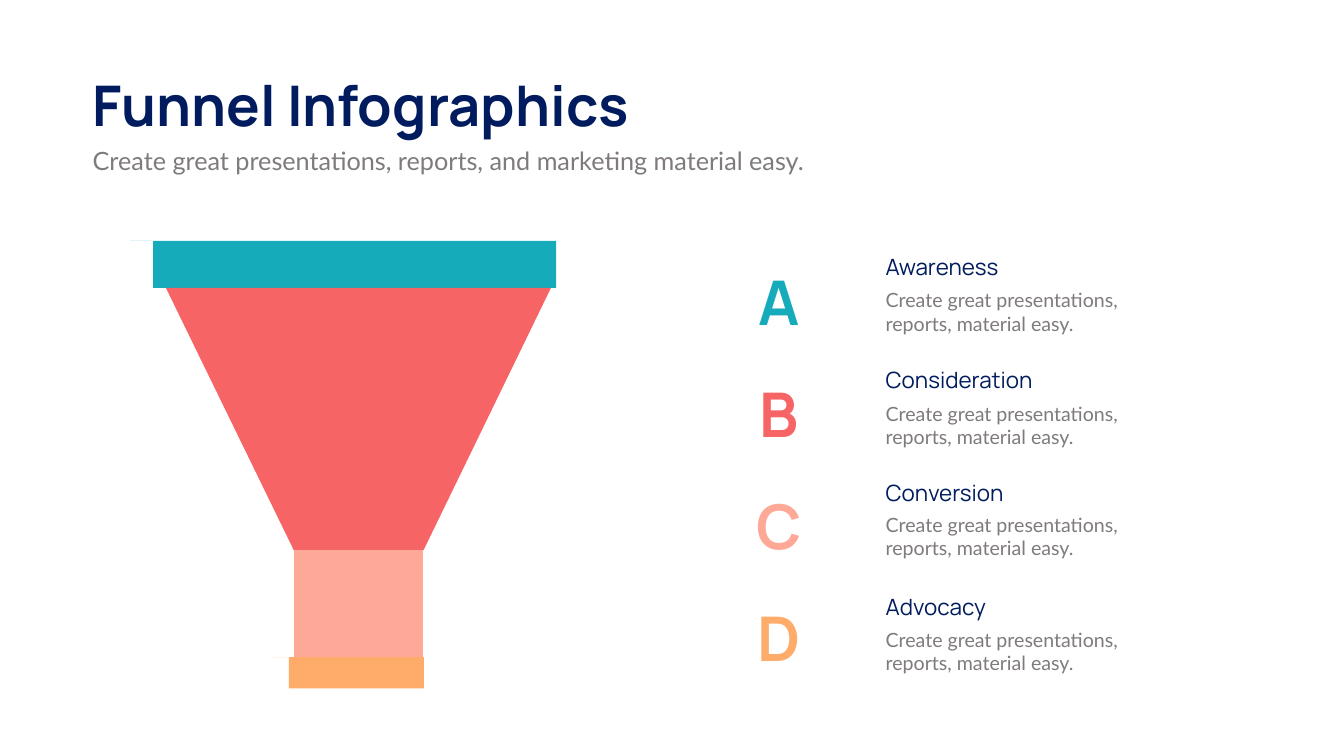
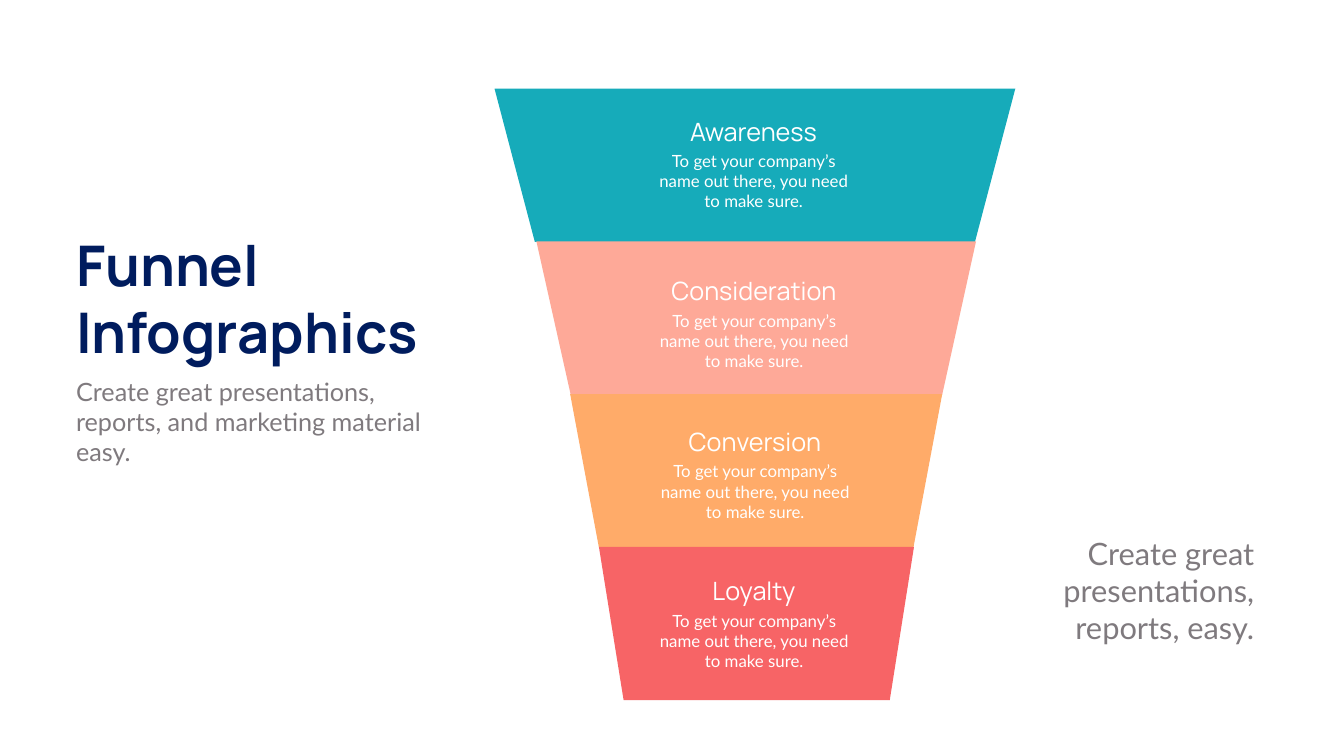
from pptx import Presentation
from pptx.dml.color import RGBColor as Rgb
from pptx.enum.text import MSO_AUTO_SIZE as Fit, PP_ALIGN as Align
from pptx.util import Pt

PX = 9144
HEX = {"navy": "001C5E", "gray": "7F7A7E", "teal": "16ABBA", "red": "F76466",
       "pink": "FEA998", "gold": "FFAB69", "white": "FFFFFF"}
HEAD, BODY = "Manrope", "Lato"


class Deck:
    """Holds the style and the current slide."""

    def __init__(self):
        self.prs = Presentation()
        self.prs.slide_width, self.prs.slide_height = 2666 * PX, 1500 * PX

    def page(self):
        self.slide = self.prs.slides.add_slide(self.prs.slide_layouts[6])
        fill = self.slide.background.fill
        fill.solid()
        fill.fore_color.rgb = Rgb.from_string(HEX["white"])

    def text(self, words, box, size, color, face=BODY, bold=False,
             align=Align.LEFT, wrap=True):
        frame = self.slide.shapes.add_textbox(*[n * PX for n in box]).text_frame
        frame.word_wrap = wrap
        frame.auto_size = Fit.SHAPE_TO_FIT_TEXT
        frame.text = words
        for para in frame.paragraphs:
            para.alignment = align
            for run in para.runs:
                font = run.font
                font.name, font.size, font.bold = face, Pt(size), bold
                font.color.rgb = Rgb.from_string(HEX[color])

    def title(self, words, box, note):
        self.text(words, box, 80, "navy", HEAD, True, wrap=False)
        self.text("Create great presentations, reports, and marketing material easy.",
                  note, 36, "gray")

    def shape(self, color, start, *points):
        form = self.slide.shapes.build_freeform(*start, scale=PX)
        form.add_line_segments(points, close=True)
        shape = form.convert_to_shape()
        shape.shadow.inherit = False
        shape.fill.solid()
        shape.fill.fore_color.rgb = Rgb.from_string(HEX[color])
        shape.line.fill.background()

    def rim(self, color, tail, left, right, top, foot):
        self.shape(color, (right, top), (right, foot), (left, foot),
                   (left, top), (tail, top))

    def taper(self, color, top, foot, wide, slim):
        self.shape(color, (wide[0], top), (wide[1], top),
                   (slim[1], foot), (slim[0], foot))

    def entry(self, mark, color, top, name, head, body):
        self.text(mark, (1450, top, 190, 158), 88, color, HEAD, True, Align.CENTER)
        self.text(name, (1747, head, 551, 64), 32, "navy", HEAD)
        self.text("Create great presentations, reports, material easy.",
                  (1747, body, 590, 104), 28, "gray")

    def label(self, name, left, top):
        self.text(name, (left, top, 405, 71), 36, "white", HEAD, align=Align.CENTER)
        self.text("To get your company’s name out there, you need to make sure.",
                  (left - 7, top + 69, 420, 50), 24, "white", align=Align.CENTER)


def funnel(deck):
    deck.page()
    deck.title("Funnel Infographics", (174, 135, 1171, 145), (174, 284, 2082, 71))
    deck.rim("teal", 257, 304, 1103, 478, 571)
    deck.taper("red", 571, 1092, (329, 1093), (583, 840))
    deck.taper("pink", 1092, 1304, (583, 840), (583, 840))
    deck.rim("gold", 542, 573, 841, 1304, 1366)
    rows = [("A", "teal", "Awareness", 498, 567),
            ("B", "red", "Consideration", 721, 792),
            ("C", "pink", "Conversion", 945, 1012),
            ("D", "gold", "Advocacy", 1172, 1240)]
    for i, (mark, color, *rest) in enumerate(rows):
        deck.entry(mark, color, 519 + 222 * i, *rest)


def stack(deck):
    deck.page()
    deck.title("Funnel\nInfographics", (141, 452, 758, 279), (141, 741, 792, 131))
    bands = [("teal", (981, 2014), (1061, 1934), "Awareness", 1292, 225),
             ("pink", (1064, 1936), (1132, 1869), "Consideration", 1293, 542),
             ("gold", (1131, 1869), (1188, 1812), "Conversion", 1295, 841),
             ("red", (1188, 1813), (1237, 1765), "Loyalty", 1293, 1137)]
    for i, (color, wide, slim, *_) in enumerate(bands):
        top = 176 + 303 * i
        deck.taper(color, top, top + 304, wide, slim)
    for *_, name, left, top in bands:
        deck.label(name, left, top)
    deck.text("Create great presentations, reports, easy.",
              (1910, 1056, 588, 232), 44, "gray", align=Align.RIGHT)


def main():
    deck = Deck()
    funnel(deck)
    stack(deck)
    deck.prs.save("out.pptx")


if __name__ == "__main__":
    main()
